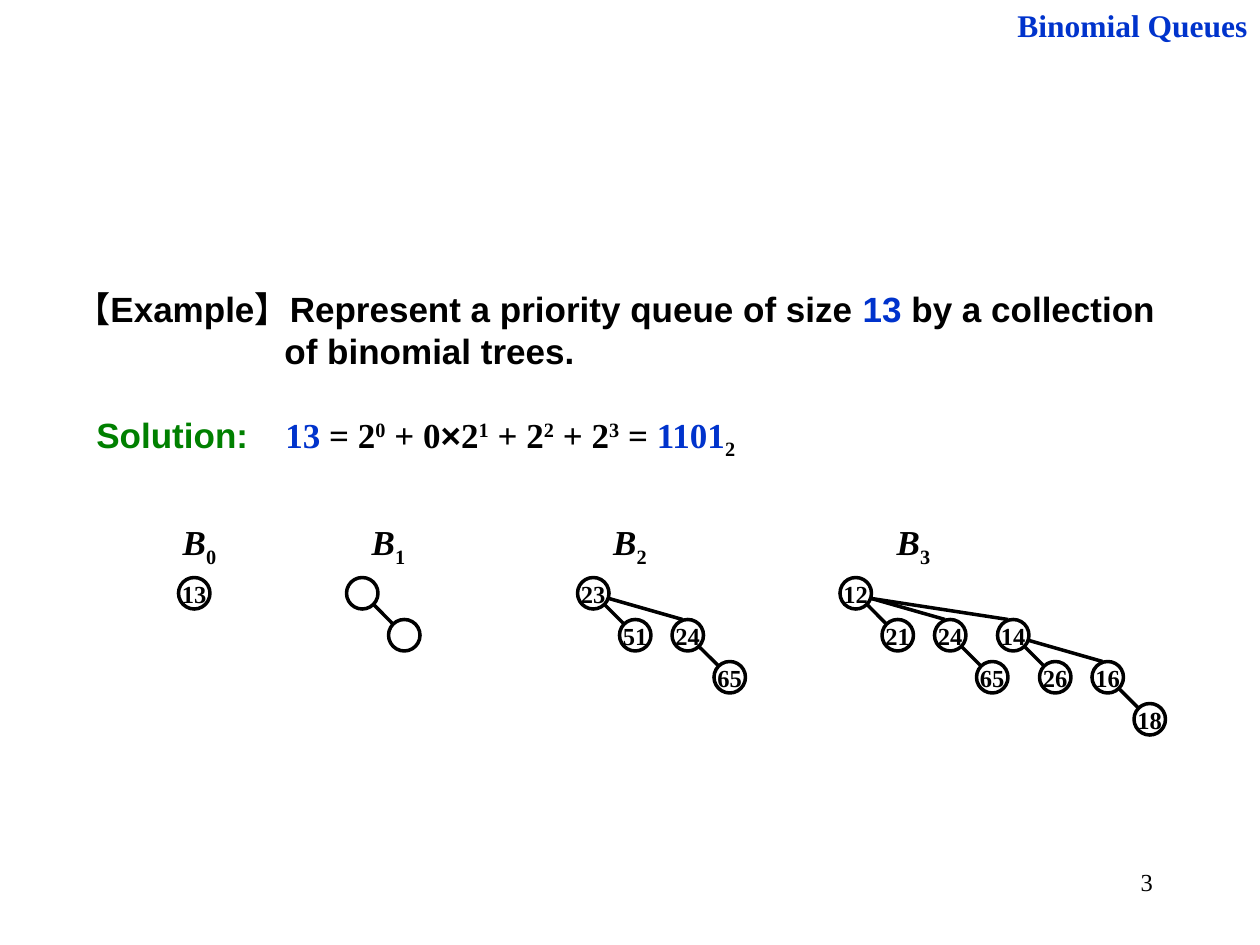
from pptx import Presentation
from pptx.dml.color import RGBColor
from pptx.enum.shapes import MSO_CONNECTOR, MSO_SHAPE
from pptx.enum.text import MSO_ANCHOR, MSO_AUTO_SIZE, PP_ALIGN
from pptx.oxml.ns import qn
from pptx.util import Inches, Pt
from lxml import etree

BLACK = RGBColor(0x00, 0x00, 0x00)
BLUE = RGBColor(0x00, 0x33, 0xCC)
GREEN = RGBColor(0x00, 0x80, 0x00)
LEFT, CENTER, RIGHT = PP_ALIGN.LEFT, PP_ALIGN.CENTER, PP_ALIGN.RIGHT
MIDDLE = MSO_ANCHOR.MIDDLE
GROW, FIXED = MSO_AUTO_SIZE.SHAPE_TO_FIT_TEXT, MSO_AUTO_SIZE.NONE
ELLIPSE = MSO_SHAPE.OVAL
STRAIGHT = MSO_CONNECTOR.STRAIGHT

SERIF, SANS = "Times New Roman", "Arial"
BODY = {"name": SERIF, "size": Pt(20), "bold": True}
SANS_BODY = {**BODY, "name": SANS}
HEADING = {**BODY, "size": Pt(18)}
KEY = {**BODY, "size": Pt(14)}
PAGE_NUMBER = {**KEY, "bold": False}
SYMBOL = {**BODY, "italic": True}
SUPERSCRIPT, SUBSCRIPT = 30, -25

COLUMNS, ROWS = 120, 90
NODE_SIZE = 3
LEVEL_STEP = 4
CHILD_OFFSETS = (4, 9, 15)
ROOT_ROW = 55
LABEL_ROW = 49

TREE_24 = ("24", ("65",))
FOREST = [
    (17, 15, ("13",)),
    (33, 33, ("", ("",))),
    (55, 56, ("23", ("51",), TREE_24)),
    (80, 83, ("12", ("21",), TREE_24, ("14", ("26",), ("16", ("18",))))),
]


class SlideBuilder:
    def __init__(self, presentation):
        self.slide = presentation.slides.add_slide(presentation.slide_layouts[6])
        self.column = presentation.slide_width / COLUMNS
        self.row = presentation.slide_height / ROWS

    def place(self, column, row):
        return round(column * self.column), round(row * self.row)

    def add_runs(self, paragraph, runs, base_format, alignment):
        paragraph.alignment = alignment
        for text, color, changes, baseline in runs:
            run = paragraph.add_run()
            run.text = text
            for attribute, value in {**base_format, **changes}.items():
                setattr(run.font, attribute, value)
            run.font.color.rgb = color
            if baseline:
                run._r.get_or_add_rPr().set("baseline", str(baseline * 1000))

    def text(self, box, runs, base_format, alignment=LEFT, hanging=0, auto_size=GROW):
        shape = self.slide.shapes.add_textbox(*self.place(*box[:2]), *self.place(*box[2:]))
        frame = shape.text_frame
        frame.word_wrap = True
        frame.auto_size = auto_size
        paragraph = frame.paragraphs[0]
        if hanging:
            properties = paragraph._p.get_or_add_pPr()
            properties.set("marL", str(Inches(hanging)))
            properties.set("indent", str(-Inches(hanging)))
        self.add_runs(paragraph, runs, base_format, alignment)

    def node(self, column, row, key):
        size = self.place(NODE_SIZE, NODE_SIZE)
        shape = self.slide.shapes.add_shape(ELLIPSE, *self.place(column, row), *size)
        shape.shadow.inherit = False
        shape.fill.background()
        shape.line.color.rgb = BLACK
        shape.line.width = Pt(2)
        if key:
            frame = shape.text_frame
            frame.word_wrap = False
            frame.vertical_anchor = MIDDLE
            self.add_runs(frame.paragraphs[0], [plain(key)], KEY, CENTER)

    def edge(self, start, end):
        connector = self.slide.shapes.add_connector(
            STRAIGHT, *self.place(*start), *self.place(*end))
        connector.line.color.rgb = BLACK
        connector.line.width = Pt(2)
        etree.SubElement(connector._element.spPr, qn("a:effectLst"))

    def tree(self, column, row, tree):
        key, *children = tree
        self.node(column, row, key)
        child_row = row + LEVEL_STEP
        for order, (offset, child) in enumerate(zip(CHILD_OFFSETS, children)):
            child_column = column + offset
            if order == 0:
                self.edge((column + 2.5, row + 2.5), (child_column + 0.5, child_row + 0.5))
            else:
                self.edge((column + 3, row + 2), (child_column + 1, child_row))
            self.tree(child_column, child_row, child)


def plain(text, color=BLACK, baseline=0, **changes):
    return text, color, changes, baseline


def main():
    presentation = Presentation()
    presentation.slide_width = Inches(10)
    presentation.slide_height = Inches(7.5)
    builder = SlideBuilder(presentation)

    builder.text((86, 82, 25, 6), [plain("3")], PAGE_NUMBER, RIGHT, auto_size=FIXED)
    builder.text((89, 0, 31, 4.8), [plain("Binomial Queues", BLUE)], HEADING, RIGHT)
    builder.text((6, 26.75, 108, 9.25), [
        plain("【Example】Represent a priority queue of size "),
        plain("13", BLUE),
        plain(" by a collection of binomial trees."),
    ], SANS_BODY, hanging=1.66)
    builder.text((8, 38.75, 20, 5.25), [plain("Solution:", GREEN)], SANS_BODY)
    builder.text((26, 38.75, 55, 5.75), [
        plain("13", BLUE),
        plain(" = 2"), plain("0", baseline=SUPERSCRIPT),
        plain(" + 0"), plain("×", name=SANS),
        plain("2"), plain("1", baseline=SUPERSCRIPT),
        plain(" + 2"), plain("2", baseline=SUPERSCRIPT),
        plain(" + 2"), plain("3", baseline=SUPERSCRIPT),
        plain(" = "), plain("1101", BLUE), plain("2", baseline=SUBSCRIPT),
    ], BODY)

    for degree, (root_column, label_column, tree) in enumerate(FOREST):
        builder.text((label_column, LABEL_ROW, 8, 5.75), [
            plain("B"), plain(str(degree), baseline=SUBSCRIPT, italic=False),
        ], SYMBOL, CENTER)
        builder.tree(root_column, ROOT_ROW, tree)

    presentation.save("out.pptx")


if __name__ == "__main__":
    main()
